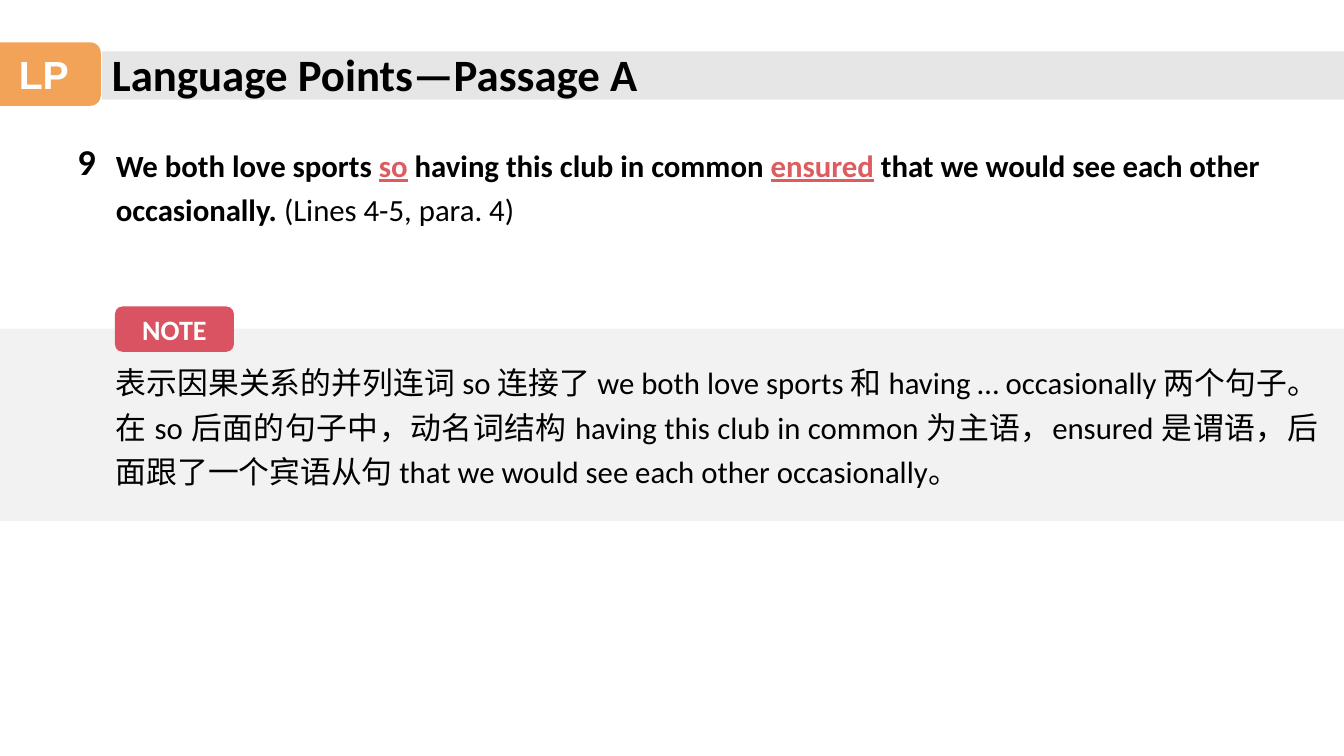
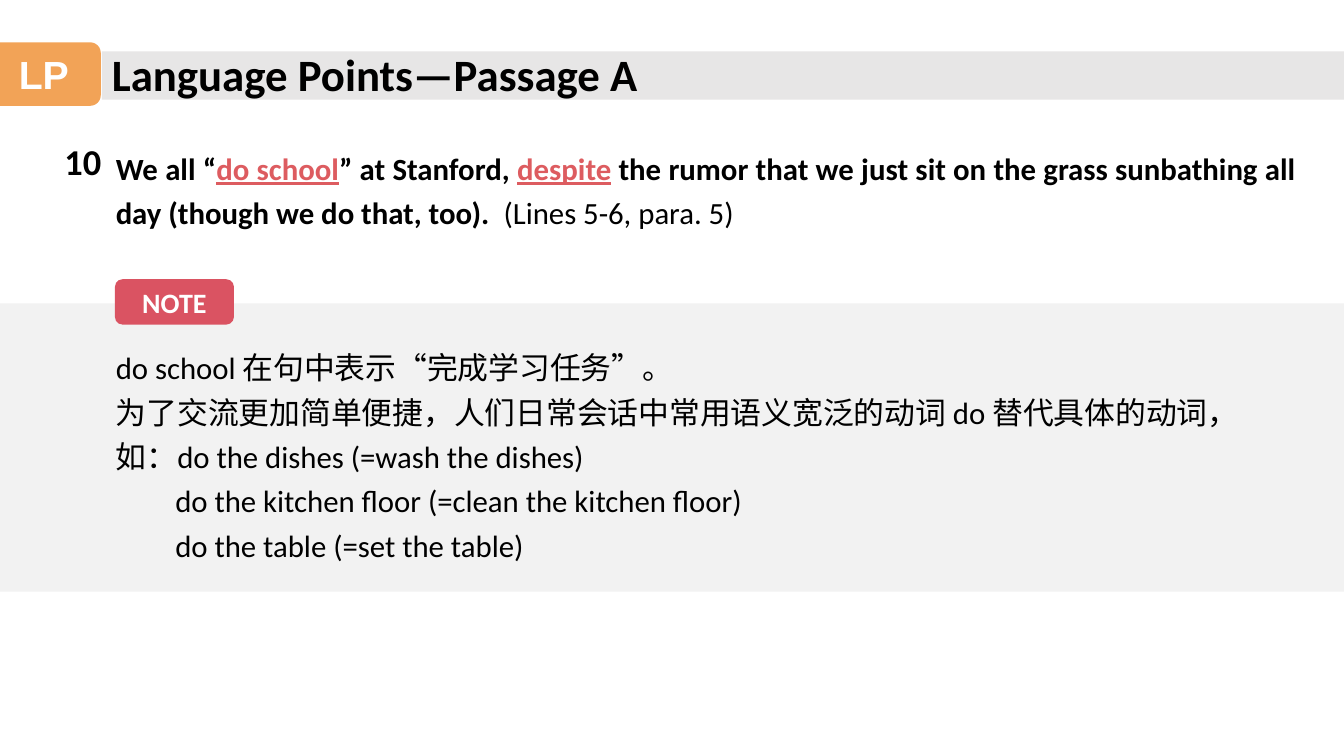
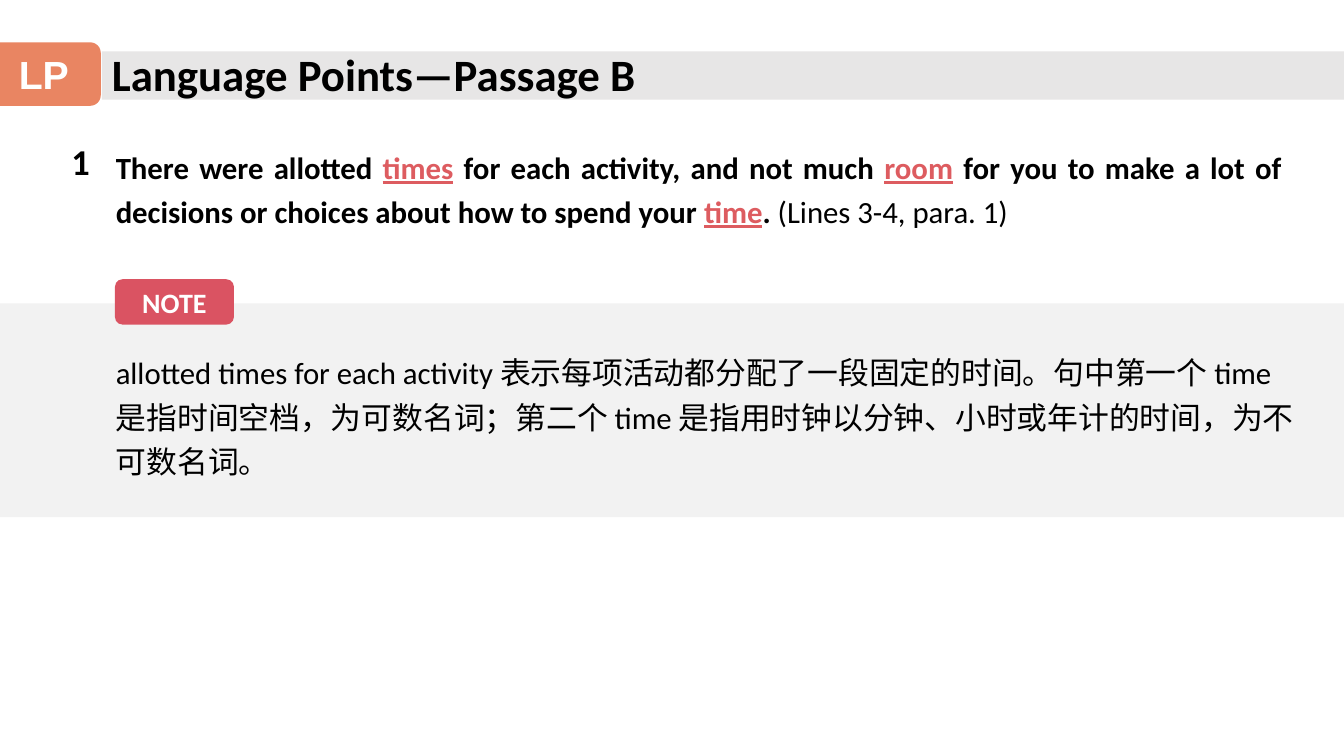
from dataclasses import dataclass
from typing import Any

from pptx import Presentation
from pptx.dml.color import RGBColor
from pptx.enum.shapes import MSO_SHAPE
from pptx.enum.text import MSO_ANCHOR, MSO_AUTO_SIZE, PP_ALIGN
from pptx.util import Inches, Pt

BLACK = RGBColor(0x00, 0x00, 0x00)
WHITE = RGBColor(0xFF, 0xFF, 0xFF)
ORANGE = RGBColor(0xF2, 0xA3, 0x57)
CORAL = RGBColor(0xE9, 0x85, 0x62)
RED = RGBColor(0xDA, 0x53, 0x62)
KEYWORD_RED = RGBColor(0xDD, 0x5C, 0x60)
TITLE_GREY = RGBColor(0xE7, 0xE6, 0xE6)
NOTE_GREY = RGBColor(0xF2, 0xF2, 0xF2)

SLIDE_WIDTH = 13.33
TEXT_LEFT = 1.05
TAG_HEIGHT = 0.45

TITLE = {"name": "Calibri", "size": Pt(32), "bold": True}
NUMBER = {"name": "Calibri", "size": Pt(26), "bold": True}
BADGE = {"name": "Arial", "size": Pt(28), "bold": True}
TAG = {"name": "Calibri", "size": Pt(20), "bold": True}
PLAIN = {"name": "Calibri", "size": Pt(22), "bold": False}
STRONG = PLAIN | {"bold": True}
KEYWORD = STRONG | {"underline": True}


@dataclass(frozen=True)
class Span:
    text: str
    font: dict[str, Any]
    color: RGBColor = BLACK


@dataclass(frozen=True)
class Line:
    spans: list[Span]
    align: PP_ALIGN = PP_ALIGN.LEFT
    spacing: float = 1.0
    indent: float = 0.0


@dataclass(frozen=True)
class Area:
    left: float
    top: float
    width: float
    height: float


@dataclass(frozen=True)
class LanguagePoint:
    passage: str
    badge_color: RGBColor
    number: str
    number_area: Area
    sentence: list[Line]
    sentence_area: Area
    band_area: Area
    tag_top: float
    note: list[Line]
    note_area: Area


def strong(text: str) -> Span:
    return Span(text, STRONG)


def keyword(text: str) -> Span:
    return Span(text, KEYWORD, KEYWORD_RED)


def plain(text: str) -> Span:
    return Span(text, PLAIN)


def sentence_line(*spans: Span) -> Line:
    return Line(list(spans), PP_ALIGN.JUSTIFY, 1.2)


def note_line(text: str, align: PP_ALIGN = PP_ALIGN.LEFT, indent: float = 0.0) -> Line:
    return Line([plain(text)], align, 1.2, indent)


def place(shape, area: Area) -> None:
    for name in ("left", "top", "width", "height"):
        setattr(shape, name, Inches(getattr(area, name)))


def write(shape, lines: list[Line], **frame_format) -> None:
    frame = shape.text_frame
    for name, value in frame_format.items():
        setattr(frame, name, value)
    for index, line in enumerate(lines):
        para = frame.add_paragraph() if index else frame.paragraphs[0]
        for name, value in {"alignment": line.align, "line_spacing": line.spacing}.items():
            setattr(para, name, value)
        if line.indent:
            para._p.get_or_add_pPr().set("marL", str(Inches(line.indent)))
        for part in line.spans:
            span = para.add_run()
            span.text = part.text
            for name, value in part.font.items():
                setattr(span.font, name, value)
            span.font.color.rgb = part.color


def add_text(page, area: Area, lines: list[Line]) -> None:
    box = page.shapes.add_textbox(0, 0, 0, 0)
    place(box, area)
    write(box, lines, word_wrap=True, auto_size=MSO_AUTO_SIZE.SHAPE_TO_FIT_TEXT)


def add_block(page, area: Area, color: RGBColor, kind=MSO_SHAPE.RECTANGLE):
    block = page.shapes.add_shape(kind, 0, 0, 0, 0)
    place(block, area)
    block.shadow.inherit = False
    block.fill.solid()
    block.fill.fore_color.rgb = color
    block.line.fill.background()
    return block


def add_label(page, area: Area, color: RGBColor, text: str, font: dict[str, Any]) -> None:
    label = add_block(page, area, color, MSO_SHAPE.ROUNDED_RECTANGLE)
    write(label, [Line([Span(text, font, WHITE)], PP_ALIGN.CENTER)],
          vertical_anchor=MSO_ANCHOR.MIDDLE)


def add_header(page, passage: str, badge_color: RGBColor) -> None:
    add_block(page, Area(1.01, 0.51, SLIDE_WIDTH - 1.01, 0.48), TITLE_GREY)
    add_label(page, Area(-0.13, 0.42, 1.13, 0.63), badge_color, "LP", BADGE)
    title = page.shapes.title
    place(title, Area(1.01, 0.41, 5.71, 0.64))
    write(title, [Line([Span(f"Language Points—Passage {passage}", TITLE)])],
          vertical_anchor=MSO_ANCHOR.TOP, word_wrap=True, auto_size=MSO_AUTO_SIZE.NONE)
    page.shapes.element.append(title.element)


def add_point(deck, point: LanguagePoint) -> None:
    page = deck.slides.add_slide(deck.slide_layouts.get_by_name("Title Only"))
    add_header(page, point.passage, point.badge_color)
    add_text(page, point.number_area, [Line([Span(point.number, NUMBER)])])
    add_text(page, point.sentence_area, point.sentence)
    add_block(page, point.band_area, NOTE_GREY)
    add_label(page, Area(1.14, point.tag_top, 1.18, TAG_HEIGHT), RED, "NOTE", TAG)
    add_text(page, point.note_area, point.note)


POINTS = [
    LanguagePoint(
        "A", ORANGE, "9", Area(0.67, 1.33, 0.47, 0.54),
        [
            sentence_line(
                strong("We both love sports "), keyword("so"),
                strong(" having this club in common "), keyword("ensured"),
                strong(" that we would see each other"),
            ),
            sentence_line(strong("occasionally."), plain(" (Lines 4-5, para. 4)")),
        ],
        Area(TEXT_LEFT, 1.33, 11.77, 0.99),
        Area(0, 3.26, SLIDE_WIDTH, 1.91), 3.04,
        [note_line(
            "表示因果关系的并列连词 so 连接了 we both love sports 和 having … occasionally "
            "两个句子。在 so 后面的句子中，动名词结构 having this club in common 为主语，"
            "ensured 是谓语，后面跟了一个宾语从句 that we would see each other occasionally。",
            PP_ALIGN.JUSTIFY,
        )],
        Area(TEXT_LEFT, 3.49, 12.12, 1.43),
    ),
    LanguagePoint(
        "A", ORANGE, "10", Area(0.54, 1.33, 0.6, 0.54),
        [sentence_line(
            strong("We all “"), keyword("do school"), strong("” at Stanford, "),
            keyword("despite"),
            strong(" the rumor that we just sit on the grass sunbathing all day "
                   "(though we do that, too). "),
            plain(" (Lines 5-6, para. 5)"),
        )],
        Area(TEXT_LEFT, 1.36, 11.9, 0.99),
        Area(0, 3.01, SLIDE_WIDTH, 2.86), 2.77,
        [
            note_line("do school 在句中表示“完成学习任务”。"),
            note_line("为了交流更加简单便捷，人们日常会话中常用语义宽泛的动词 do "
                      "替代具体的动词，如：do the dishes (=wash the dishes)"),
            note_line("do the kitchen floor (=clean the kitchen floor)", indent=0.59),
            note_line("do the table (=set the table)", indent=0.59),
        ],
        Area(TEXT_LEFT, 3.34, 11.39, 2.29),
    ),
    LanguagePoint(
        "B", CORAL, "1", Area(0.61, 1.33, 0.63, 0.54),
        [sentence_line(
            strong("There were allotted "), keyword("times"),
            strong(" for each activity, and not much "), keyword("room"),
            strong(" for you to make a lot of decisions or choices about how to spend your "),
            keyword("time"), strong(". "), plain("(Lines 3-4, para. 1)"),
        )],
        Area(TEXT_LEFT, 1.35, 11.76, 0.99),
        Area(0, 3.01, SLIDE_WIDTH, 2.12), 2.77,
        [note_line(
            "allotted times for each activity 表示每项活动都分配了一段固定的时间。"
            "句中第一个 time 是指时间空档，为可数名词；第二个 time "
            "是指用时钟以分钟、小时或年计的时间，为不可数名词。"
        )],
        Area(TEXT_LEFT, 3.39, 11.97, 1.4),
    ),
]


def main() -> None:
    deck = Presentation()
    deck.slide_width = Inches(SLIDE_WIDTH)
    deck.slide_height = Inches(7.5)
    for point in POINTS:
        add_point(deck, point)
    deck.save("out.pptx")


if __name__ == "__main__":
    main()
